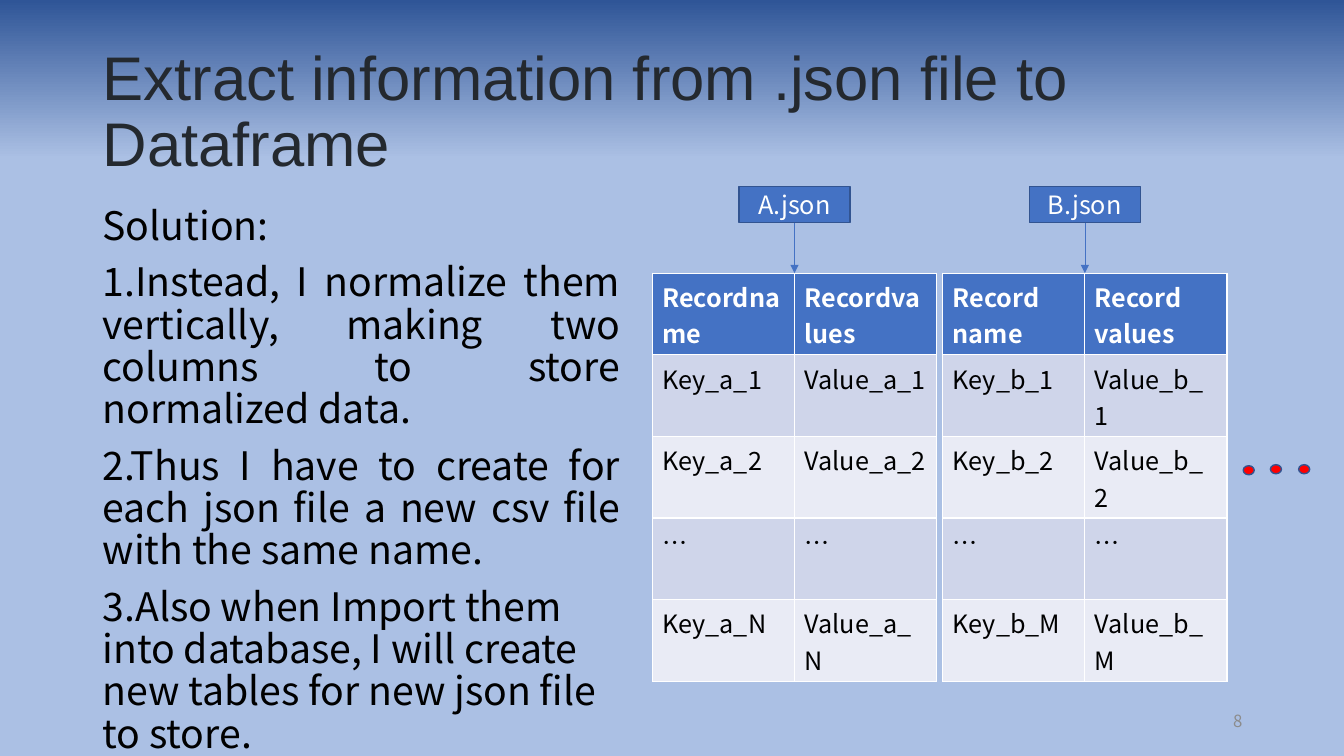
"""Build the slide on turning .json files into a Dataframe."""
from pptx import Presentation, util as u
from pptx.dml.color import RGBColor
from pptx.enum import shapes, text
from pptx.oxml.ns import qn
from lxml import etree

SANS = "Noto Sans CJK SC"
BLUE, EDGE, WHITE, BLACK = "4472C4", "325491", "FFFFFF", "000000"
LEFT, MID, RIGHT, JUST = (text.PP_ALIGN.LEFT, text.PP_ALIGN.CENTER,
                          text.PP_ALIGN.RIGHT, text.PP_ALIGN.JUSTIFY)


def rgb(code):
    return RGBColor.from_string(code)


def write(frame, lines, size, color, face=SANS, bold=False, **form):
    frame.word_wrap = True
    frame.text = "\n".join(lines)
    for para in frame.paragraphs:
        for key, val in form.items():
            setattr(para, key, val)
        for run in para.runs:
            look = {"size": u.Pt(size), "name": face, "bold": bold}
            for key, val in look.items():
                setattr(run.font, key, val)
            run.font.color.rgb = rgb(color)


deck = Presentation()
deck.slide_width, deck.slide_height = u.Inches(13.33), u.Inches(7.5)
slide = deck.slides.add_slide(deck.slide_layouts[6])
items = slide.shapes

fill = slide.background.fill
fill.gradient()
fill.gradient_angle = 270
for stop, (place, color) in zip(fill.gradient_stops, [(0, "2F5597"), (0.21, "ABC0E4")]):
    stop.position = place
    stop.color.rgb = rgb(color)

title = items.add_textbox(u.Inches(0.92), u.Inches(0.4), u.Inches(12.18), u.Inches(1.45))
title.text_frame.vertical_anchor = text.MSO_ANCHOR.MIDDLE
write(title.text_frame, ["Extract information from .json file to Dataframe"],
      44, "24292F", "Arial", line_spacing=0.9)

body = items.add_textbox(u.Inches(0.92), u.Inches(2), u.Inches(5.33), u.Inches(4.76))
steps = [
    "Solution:",
    "1.Instead, I normalize them vertically, making two columns to store normalized data.",
    "2.Thus I have to create for each json file a new csv file with the same name.",
    "3.Also when Import them into database, I will create new tables for new json file to store.",
]
write(body.text_frame, steps, 28, BLACK, line_spacing=0.9, space_before=u.Pt(10))
for para, align in zip(body.text_frame.paragraphs, [LEFT, JUST, JUST, LEFT]):
    para.alignment = align

col, row, top = 1.41, 0.81, 2.71
files = [
    ("A.json", 6.47, "a", "N", ["Recordname", "Recordvalues"]),
    ("B.json", 9.35, "b", "M", ["Record\nname", "Record\nvalues"]),
]
for name, left, tag, last, heads in files:
    rows = [heads]
    for key in ("1", "2", "…", last):
        rows.append(["…", "…"] if key == "…" else
                    [f"{kind}_{tag}_{key}" for kind in ("Key", "Value")])
    grid = items.add_table(5, 2, u.Inches(left), u.Inches(top),
                           u.Inches(2 * col), u.Inches(5 * row)).table
    for i, words in enumerate(rows):
        grid.rows[i].height = u.Inches(row)
        for j, word in enumerate(words):
            cell = grid.cell(i, j)
            cell.fill.solid()
            cell.fill.fore_color.rgb = rgb(BLUE if i == 0 else ("E9EBF5", "CFD5EA")[i % 2])
            write(cell.text_frame, word.split("\n"), 18,
                  BLACK if i else WHITE, bold=i == 0)

    mid = left + col
    box = items.add_shape(shapes.MSO_SHAPE.RECTANGLE, u.Inches(mid - 0.55),
                          u.Inches(1.85), u.Inches(1.1), u.Inches(0.36))
    box.shadow.inherit = False
    box.fill.solid()
    box.fill.fore_color.rgb = rgb(BLUE)
    box.line.color.rgb = rgb(EDGE)
    box.line.width = u.Pt(1)
    box.text_frame.vertical_anchor = text.MSO_ANCHOR.MIDDLE
    write(box.text_frame, [name], 18, WHITE, alignment=MID)

    arrow = items.add_connector(shapes.MSO_CONNECTOR.STRAIGHT, u.Inches(mid),
                                u.Inches(2.21), u.Inches(mid), u.Inches(top))
    arrow.line.color.rgb = rgb(BLUE)
    arrow.line.width = u.Pt(0.5)
    etree.SubElement(arrow.line._get_or_add_ln(), qn("a:tailEnd"), type="triangle")
    etree.SubElement(arrow._element.spPr, qn("a:effectLst"))

for x, y in [(12.33, 4.62), (12.6, 4.61), (12.88, 4.61)]:
    dot = items.add_shape(shapes.MSO_SHAPE.OVAL, u.Inches(x), u.Inches(y),
                          u.Inches(0.11), u.Inches(0.09))
    dot.shadow.inherit = False
    dot.fill.solid()
    dot.fill.fore_color.rgb = rgb("FF0000")
    dot.line.color.rgb = rgb(EDGE)
    dot.line.width = u.Pt(1)

page = items.add_textbox(u.Inches(9.42), u.Inches(6.95), u.Inches(3), u.Inches(0.4))
page.text_frame.vertical_anchor = text.MSO_ANCHOR.MIDDLE
write(page.text_frame, ["8"], 12, "8C8C8C", alignment=RIGHT)

deck.save("out.pptx")
